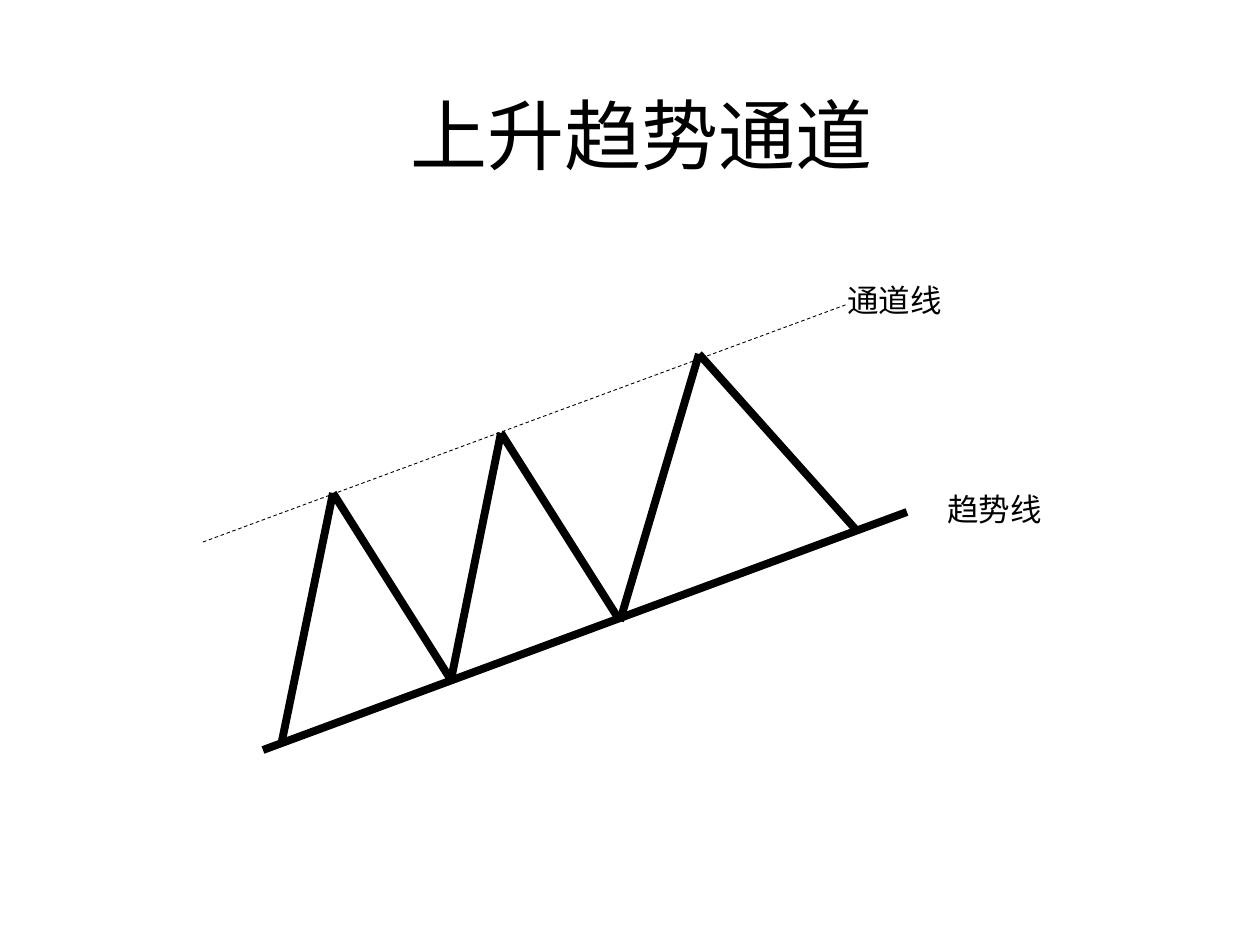
from lxml import etree
from pptx import Presentation
from pptx import util as u
from pptx.dml.color import RGBColor
from pptx.enum import dml, shapes, text
from pptx.oxml import ns

PX = u.Inches(1) / 126
COLORS = {"ink": "000000", "background": "FFFFFF"}
LATIN_FONT = "Cabin"
CHINESE_FONT = "Noto Sans CJK SC"


def px(length):
    return u.Emu(round(length * PX))


def add_run(paragraph, words, size, font_name):
    run = paragraph.add_run()
    run.text = words
    run.font.size = u.Pt(size)
    run.font.name = font_name
    run.font.color.rgb = RGBColor.from_string(COLORS["ink"])
    east_asian = etree.SubElement(run._r.get_or_add_rPr(), ns.qn("a:ea"))
    east_asian.set("typeface", CHINESE_FONT)


def add_title(slide, left, top, width, height):
    title = slide.shapes.title
    title.left, title.top = px(left), px(top)
    title.width, title.height = px(width), px(height)
    title.text_frame.vertical_anchor = text.MSO_ANCHOR.MIDDLE
    paragraph = title.text_frame.paragraphs[0]
    paragraph.alignment = text.PP_ALIGN.CENTER
    add_run(paragraph, "上升趋势通道", 44, CHINESE_FONT)


def add_line(slide, start, end, weight, dash=None):
    line = slide.shapes.add_connector(
        shapes.MSO_CONNECTOR.STRAIGHT, *map(px, start + end))
    line.line.color.rgb = RGBColor.from_string(COLORS["ink"])
    line.line.width = u.Pt(weight)
    if dash:
        line.line.dash_style = dash
    etree.SubElement(line._element.spPr, ns.qn("a:effectLst"))


def add_label(slide, left, top, words):
    label = slide.shapes.add_textbox(px(left), px(top), px(120), px(50))
    label.text_frame.word_wrap = False
    label.text_frame.auto_size = text.MSO_AUTO_SIZE.SHAPE_TO_FIT_TEXT
    add_run(label.text_frame.paragraphs[0], words, 18, LATIN_FONT)


def add_trend_channel(slide, left, top):
    def place(x, y):
        return left + x, top + y

    add_line(slide, place(60, 475), place(704, 237), 4.5)
    add_line(slide, place(0, 267), place(645, 29), 0.5, dml.MSO_LINE.DASH)

    turning_points = [place(x, y) for x, y in (
        (79, 466), (130, 218), (248, 405), (298, 158),
        (417, 346), (496, 79), (655, 257))]
    for start, end in zip(turning_points, turning_points[1:]):
        add_line(slide, start, end, 4.5)

    add_label(slide, *place(632, 0), "通道线")
    add_label(slide, *place(732, 209), "趋势线")


def main():
    presentation = Presentation()
    presentation.slide_width, presentation.slide_height = px(1260), px(945)
    slide = presentation.slides.add_slide(presentation.slide_layouts[5])
    background = slide.background.fill
    background.solid()
    background.fore_color.rgb = RGBColor.from_string(COLORS["background"])
    add_title(slide, 64, 35, 1155, 198)
    add_trend_channel(slide, 203, 275)
    presentation.save("out.pptx")


if __name__ == "__main__":
    main()
